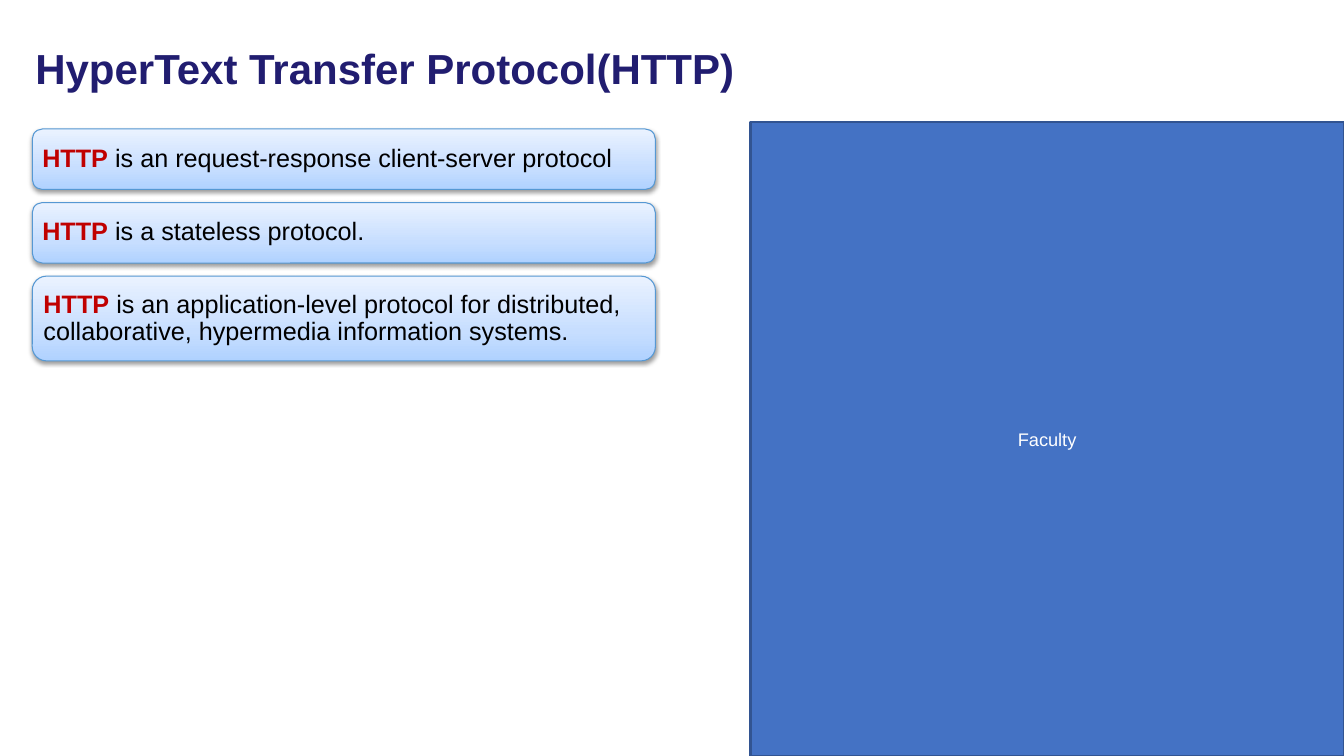
import dataclasses

import pptx
import pptx.dml.color
import pptx.enum.shapes
import pptx.enum.text
import pptx.oxml
import pptx.oxml.ns
import pptx.util

PX = 9144
SHAPE = pptx.enum.shapes.MSO_SHAPE
ALIGN = pptx.enum.text.PP_ALIGN


@dataclasses.dataclass(frozen=True)
class Theme:
    font: str = "Arial"
    title: str = "211D70"
    body: str = "000000"
    accent: str = "C00000"
    panel: str = "4472C4"
    panel_line: str = "325491"
    panel_text: str = "FFFFFF"
    card_line: str = "5698D3"
    card_stops: tuple = ((0, "B0D2FF"), (35, "C7DEFF"), (100, "EAF2FF"))
    title_size: int = 30
    body_size: int = 18
    panel_size: int = 13


def px(n):
    return pptx.util.Emu(n * PX)


def rgb(value):
    return pptx.dml.color.RGBColor.from_string(value)


def add_run(p, text, *, font, size, color, bold=False):
    r = p.add_run()
    r.text = text
    r.font.name = font
    r.font.size = pptx.util.Pt(size)
    r.font.color.rgb = rgb(color)
    r.font.bold = bold


class SlideBuilder:
    def __init__(self, prs, theme):
        self.theme = theme
        self.s = prs.slides.add_slide(prs.slide_layouts[5])

    def frame(self, sp, align, spacing=None, inset=None):
        tf = sp.text_frame
        tf.word_wrap = True
        tf.auto_size = pptx.enum.text.MSO_AUTO_SIZE.NONE
        tf.vertical_anchor = pptx.enum.text.MSO_ANCHOR.MIDDLE
        if inset is not None:
            tf.margin_left = tf.margin_right = px(inset)
            tf.margin_top = tf.margin_bottom = px(inset)
        p = tf.paragraphs[0]
        p.alignment = align
        p.line_spacing = spacing
        return p

    def shape(self, kind, x, y, w, h, line, width):
        sp = self.s.shapes.add_shape(kind, px(x), px(y), px(w), px(h))
        sp.shadow.inherit = False
        sp.line.color.rgb = rgb(line)
        sp.line.width = pptx.util.Pt(width)
        return sp

    def title(self, text, x, y, w, h):
        sp = self.s.shapes.title
        sp.left, sp.top, sp.width, sp.height = px(x), px(y), px(w), px(h)
        p = self.frame(sp, ALIGN.LEFT, spacing=0.9)
        t = self.theme
        add_run(p, text, font=t.font, size=t.title_size, color=t.title, bold=True)

    def panel(self, text, x, y, w, h):
        t = self.theme
        sp = self.shape(SHAPE.RECTANGLE, x, y, w, h, t.panel_line, 2)
        sp.fill.solid()
        sp.fill.fore_color.rgb = rgb(t.panel)
        p = self.frame(sp, ALIGN.CENTER)
        add_run(p, text, font=t.font, size=t.panel_size, color=t.panel_text)

    def card(self, term, text, x, y, w, h):
        t = self.theme
        sp = self.shape(SHAPE.ROUNDED_RECTANGLE, x, y, w, h, t.card_line, 0.75)
        self.gradient(sp)
        self.drop_shadow(sp)
        p = self.frame(sp, ALIGN.LEFT, spacing=0.9, inset=7)
        add_run(p, term, font=t.font, size=t.body_size, color=t.accent, bold=True)
        add_run(p, text, font=t.font, size=t.body_size, color=t.body)

    def gradient(self, sp):
        stops = "".join(
            f'<a:gs pos="{pos * 1000}"><a:srgbClr val="{color}"/></a:gs>'
            for pos, color in self.theme.card_stops
        )
        fill = pptx.oxml.parse_xml(
            f'<a:gradFill {pptx.oxml.ns.nsdecls("a")} rotWithShape="1">'
            f'<a:gsLst>{stops}</a:gsLst><a:lin ang="16200000" scaled="0"/></a:gradFill>'
        )
        sp._element.spPr.find(pptx.oxml.ns.qn("a:prstGeom")).addnext(fill)

    def drop_shadow(self, sp):
        shadow = pptx.oxml.parse_xml(
            f'<a:outerShdw {pptx.oxml.ns.nsdecls("a")} blurRad="{pptx.util.Pt(3.1)}" '
            f'dist="{pptx.util.Pt(1.6)}" dir="5400000" rotWithShape="0">'
            '<a:srgbClr val="000000"><a:alpha val="38000"/></a:srgbClr></a:outerShdw>'
        )
        sp._element.spPr.find(pptx.oxml.ns.qn("a:effectLst")).append(shadow)


def main():
    prs = pptx.Presentation()
    prs.slide_width, prs.slide_height = px(1333), px(750)
    b = SlideBuilder(prs, Theme())
    b.panel("Faculty", 744, 121, 589, 629)
    b.title("HyperText Transfer Protocol(HTTP)", 25, 25, 1181, 91)

    facts = [
        (" is an request-response client-server protocol", 60),
        (" is a stateless protocol.", 60),
        (" is an application-level protocol for distributed, "
         "collaborative, hypermedia information systems.", 84),
    ]
    y, gap = 128, 13
    for text, h in facts:
        b.card("HTTP", text, 32, y, 618, h)
        y += h + gap
    prs.save("out.pptx")


if __name__ == "__main__":
    main()
